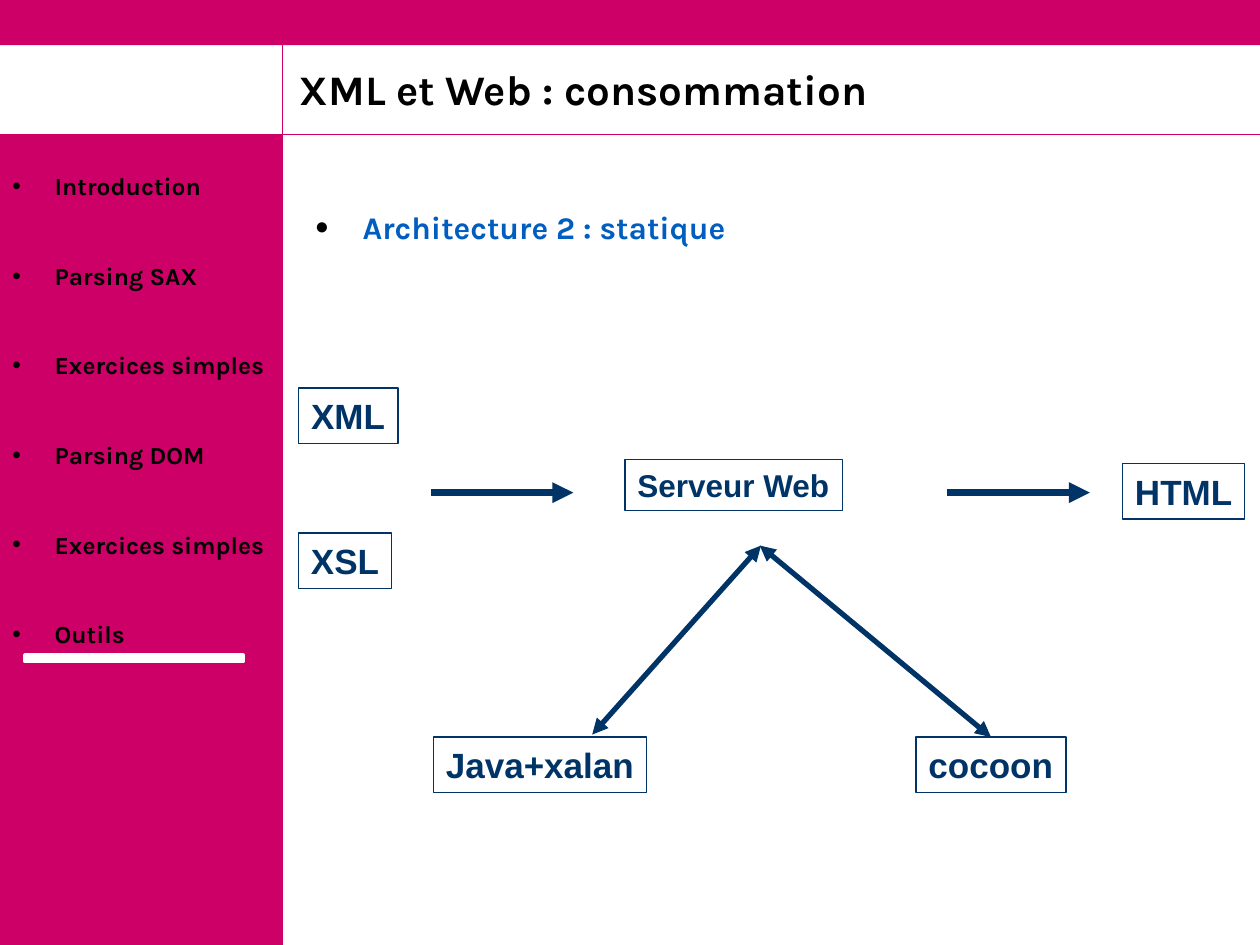
import pptx
import pptx.dml.color
import pptx.enum.shapes
import pptx.enum.text
import pptx.oxml.ns
import pptx.util
from lxml import etree

COLOURS = {
    "magenta": "CC0066", "white": "FFFFFF", "black": "000000",
    "navy": "003366", "blue": "005EC0",
}
ANCHORS = pptx.enum.text.MSO_ANCHOR
qn = pptx.oxml.ns.qn

presentation = pptx.Presentation()
presentation.slide_width = pptx.util.Inches(10)
presentation.slide_height = pptx.util.Inches(7.5)
slide = presentation.slides.add_slide(presentation.slide_layouts[6])

# The slide is a grid of 100 columns by 75 rows of square cells.
CELL = presentation.slide_width / 100
SIDEBAR = 22.4
HEADER = 10.7


def add_block(frame, fill=None, outline=None, width=0.75):
    """Add a rectangle; frame is left, top, width, height in grid cells."""
    shape = slide.shapes.add_shape(pptx.enum.shapes.MSO_SHAPE.RECTANGLE,
                                   *[round(length * CELL) for length in frame])
    shape.shadow.inherit = False
    if fill:
        shape.fill.solid()
        shape.fill.fore_color.rgb = pptx.dml.color.RGBColor.from_string(COLOURS[fill])
    else:
        shape.fill.background()
    if outline:
        shape.line.color.rgb = pptx.dml.color.RGBColor.from_string(COLOURS[outline])
        shape.line.width = pptx.util.Pt(width)
    else:
        shape.line.fill.background()
    return shape


def write(shape, lines, size, font, colour, anchor=ANCHORS.TOP, wrap=True,
          bullet=None, bullet_size=100, indent=0, gap=0):
    """Fill a shape with bold left-aligned paragraphs, bulleted if bullet is given."""
    text_frame = shape.text_frame
    text_frame.text = "\n".join(lines)
    text_frame.word_wrap = wrap
    text_frame.vertical_anchor = anchor
    for index, paragraph in enumerate(text_frame.paragraphs):
        paragraph.alignment = pptx.enum.text.PP_ALIGN.LEFT
        if index:
            paragraph.space_before = pptx.util.Pt(gap)
        if bullet:
            properties = paragraph._p.get_or_add_pPr()
            properties.set("marL", str(round(indent * CELL)))
            properties.set("indent", str(round(-indent * CELL)))
            bullet_colour = etree.SubElement(properties, qn("a:buClr"))
            etree.SubElement(bullet_colour, qn("a:srgbClr"), val=COLOURS["black"])
            etree.SubElement(properties, qn("a:buSzPct"), val=str(bullet_size * 1000))
            etree.SubElement(properties, qn("a:buFont"), typeface="Arial")
            etree.SubElement(properties, qn("a:buChar"), char=bullet)
        for run in paragraph.runs:
            run.font.size = pptx.util.Pt(size)
            run.font.name = font
            run.font.bold = True
            run.font.color.rgb = pptx.dml.color.RGBColor.from_string(COLOURS[colour])


# Sidebar and top band
add_block((0, HEADER, SIDEBAR, 75 - HEADER), "magenta")
add_block((0, 0, 100, 3.6), "magenta")

# Menu, title and body text
menu = slide.shapes.add_textbox(*[round(n * CELL) for n in (0, 13.1, 23.2, 40.4)])
write(menu, ["Introduction", "Parsing SAX", "Exercices simples", "Parsing DOM",
             "Exercices simples", "Outils"],
      14, "Karla", "black", bullet="•", indent=3.35, gap=34.4)

title = slide.shapes.add_textbox(*[round(n * CELL) for n in (22.8, 4.8, 73.3, 4.8)])
write(title, ["XML et Web : consommation"], 24, "Karla", "black", ANCHORS.BOTTOM)
title.text_frame.paragraphs[0].line_spacing = 0.9

body = slide.shapes.add_textbox(*[round(n * CELL) for n in (24, 12.3, 74, 62.7)])
write(body, ["Architecture 2 : statique"], 18, "Karla", "blue",
      bullet="●", bullet_size=75, indent=3.8)
body.text_frame.margin_top = round(4.2 * CELL)

# Diagram nodes
nodes = {}
for name, frame, size in [
    ("XML", (23.7, 30.8, 7.9, 4.4), 20),
    ("XSL", (23.7, 42.3, 7.4, 4.4), 20),
    ("Serveur Web", (49.6, 36.5, 17.3, 4), 18),
    ("HTML", (89.1, 36.8, 9.7, 4.4), 20),
    ("Java+xalan", (34.4, 58.5, 16.9, 4.4), 20),
    ("cocoon", (72.7, 58.5, 11.9, 4.4), 20),
]:
    nodes[name] = add_block(frame, outline="navy")
    write(nodes[name], [name], size, "Arial", "navy", ANCHORS.MIDDLE, wrap=False)

# Header rules and diagram arrows: start, end, colour, width, arrowheads, end node
for start, end, colour, width, heads, target in [
    ((0, HEADER), (100, HEADER), "magenta", 0.75, [], None),
    ((SIDEBAR, 75), (SIDEBAR, 0), "magenta", 0.75, [], None),
    ((34.2, 39.1), (45.5, 39.1), "navy", 4, ["tailEnd"], None),
    ((75.2, 39.1), (86.5, 39.1), "navy", 4, ["tailEnd"], None),
    ((60.4, 43.3), (47, 58.3), "navy", 3, ["headEnd", "tailEnd"], None),
    ((60.3, 43.3), (78.7, 58.3), "navy", 3, ["headEnd", "tailEnd"], "cocoon"),
]:
    connector = slide.shapes.add_connector(
        pptx.enum.shapes.MSO_CONNECTOR.STRAIGHT,
        *[round(length * CELL) for length in start + end])
    connector.line.color.rgb = pptx.dml.color.RGBColor.from_string(COLOURS[colour])
    connector.line.width = pptx.util.Pt(width)
    for head in heads:
        etree.SubElement(connector.line._get_or_add_ln(), qn("a:" + head), type="triangle")
    etree.SubElement(connector._element.spPr, qn("a:effectLst"))
    if target:
        connector.end_connect(nodes[target], 0)

# Marker under the current menu entry
add_block((2, 52, 17.3, 0.5), "white", "white", 2)

presentation.save("out.pptx")
